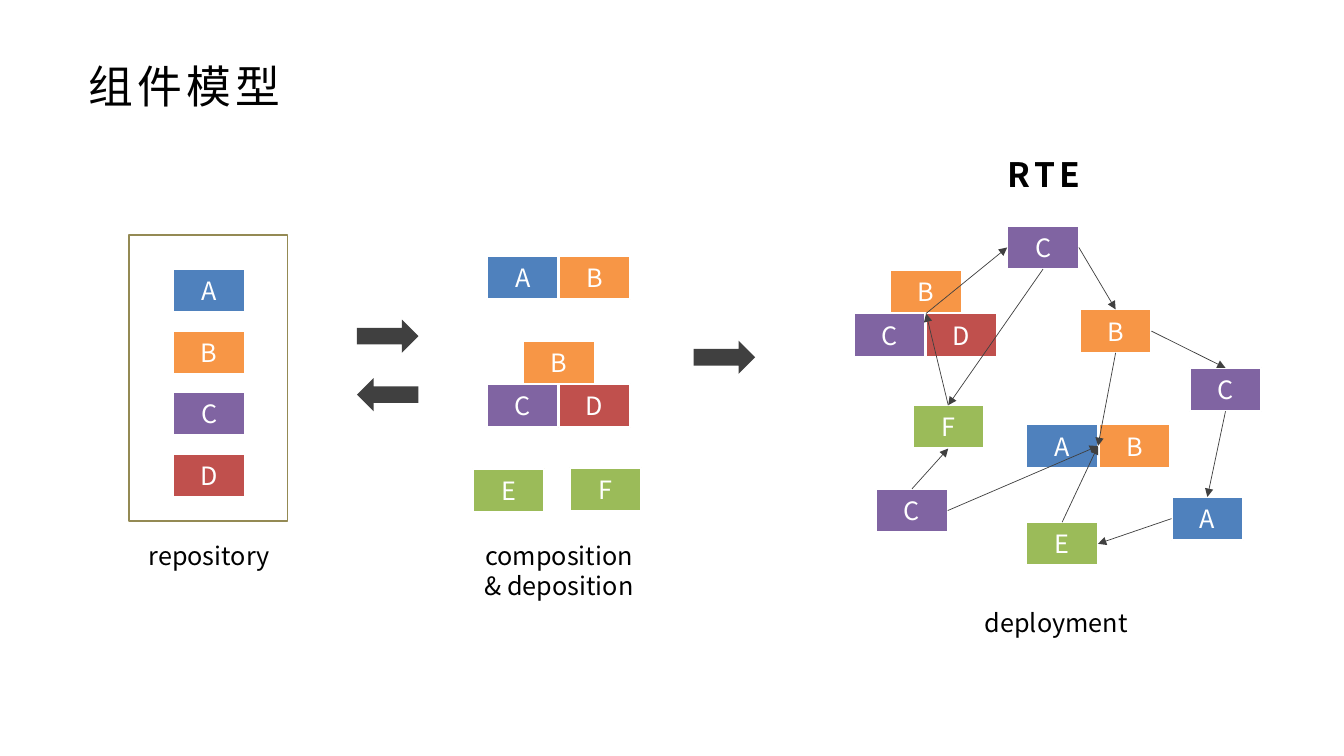
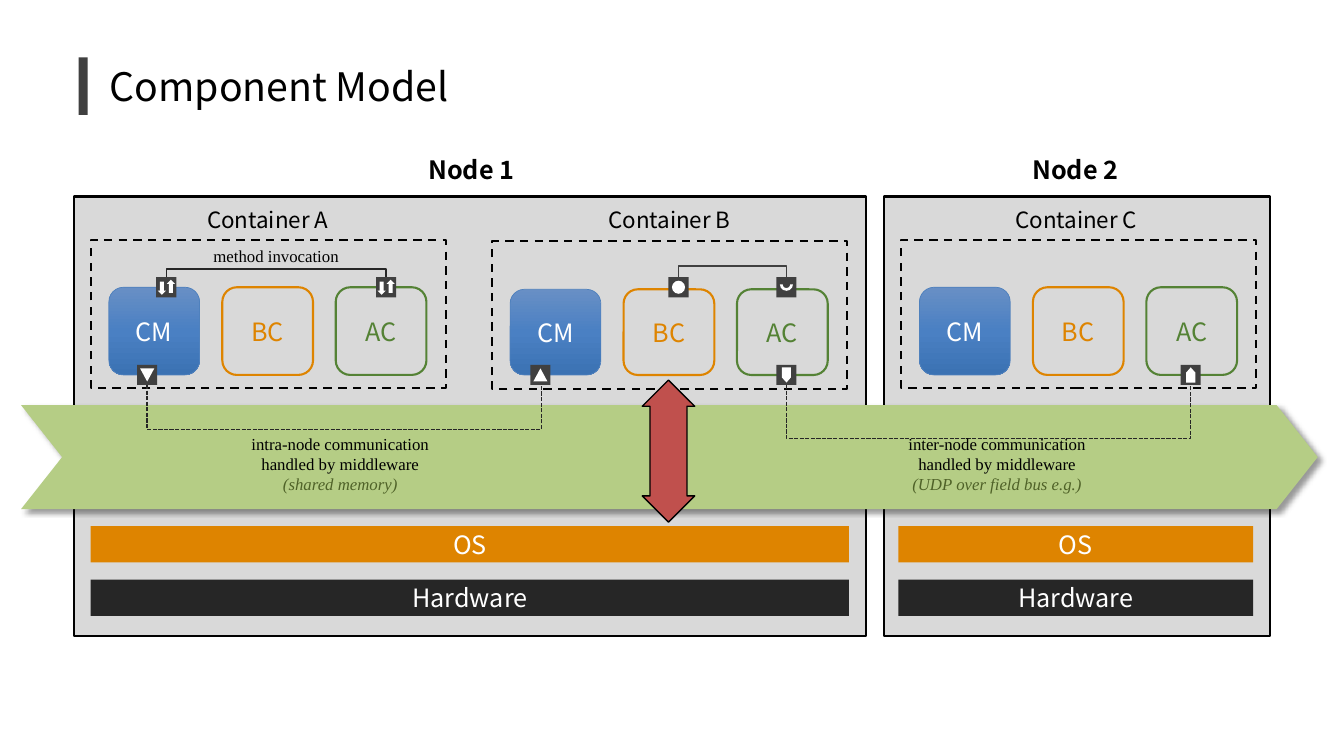
"""Build two slides on a component model: its life cycle and its run-time layout."""
from copy import deepcopy
from dataclasses import dataclass

from lxml import etree
from pptx import Presentation
from pptx.dml.color import RGBColor
from pptx.enum.dml import MSO_LINE
from pptx.enum.shapes import MSO_CONNECTOR, MSO_SHAPE
from pptx.enum.text import MSO_ANCHOR, MSO_AUTO_SIZE, PP_ALIGN
from pptx.oxml.ns import qn
from pptx.util import Inches, Pt

RECT, ROUNDED = MSO_SHAPE.RECTANGLE, MSO_SHAPE.ROUNDED_RECTANGLE
ARROW, TRIANGLE = MSO_SHAPE.RIGHT_ARROW, MSO_SHAPE.ISOSCELES_TRIANGLE
PENTAGON, ARC, OVAL = MSO_SHAPE.PENTAGON, MSO_SHAPE.BLOCK_ARC, MSO_SHAPE.OVAL
CHEVRON, UP_DOWN = MSO_SHAPE.CHEVRON, MSO_SHAPE.UP_DOWN_ARROW
STRAIGHT = MSO_CONNECTOR.STRAIGHT
DASH, SHORT_DASH = MSO_LINE.DASH, MSO_LINE.SQUARE_DOT
LEFT, CENTER = PP_ALIGN.LEFT, PP_ALIGN.CENTER
TOP_ANCHOR, MIDDLE = MSO_ANCHOR.TOP, MSO_ANCHOR.MIDDLE
NO_AUTOFIT = MSO_AUTO_SIZE.NONE
TOP, LEFT_SIDE, BOTTOM, RIGHT_SIDE = range(4)


@dataclass(frozen=True)
class Theme:
    sans: str = "Noto Sans CJK SC"
    serif: str = "Times New Roman"
    black: str = "000000"
    white: str = "FFFFFF"
    dark: str = "404040"
    coal: str = "262626"
    panel: str = "D9D9D9"
    blue: str = "4F81BD"
    orange: str = "F79646"
    purple: str = "8064A2"
    red: str = "C0504D"
    green: str = "9BBB59"
    khaki: str = "948A54"
    amber: str = "DE8400"
    leaf: str = "548235"
    band: str = "B5CD85"
    olive: str = "4F6228"
    gradient: tuple = ("688FC5", "4A80C3", "3B72B3")
    title: int = 32
    title_small: int = 28
    heading: int = 24
    body: int = 18
    label: int = 16
    note: int = 12


theme = Theme()


def write(shape, text, size=theme.body, color=theme.black, font=theme.sans,
          bold=False, spacing=0, align=CENTER, anchor=MIDDLE):
    frame = shape.text_frame
    frame.word_wrap = True
    frame.auto_size = NO_AUTOFIT
    frame.vertical_anchor = anchor
    frame.text = text
    for paragraph in frame.paragraphs:
        paragraph.alignment = align
        for run in paragraph.runs:
            run.font.size = Pt(size)
            run.font.bold = bold
            run.font.name = font
            run.font.color.rgb = RGBColor.from_string(color)
            properties = run.font._element
            properties.set("spc", str(spacing * 100))
            etree.SubElement(properties, qn("a:ea"), typeface=font)


def draw(slide, kind, box, fill=None, line=None, width=1.5, rotation=0, adjustments=()):
    shape = slide.shapes.add_shape(kind, *map(Inches, box))
    shape.shadow.inherit = False
    shape.rotation = rotation
    for index, value in enumerate(adjustments):
        shape.adjustments[index] = value
    if fill:
        shape.fill.solid()
        shape.fill.fore_color.rgb = RGBColor.from_string(fill)
    else:
        shape.fill.background()
    if line:
        shape.line.color.rgb = RGBColor.from_string(line)
        shape.line.width = Pt(width)
    else:
        shape.line.fill.background()
    return shape


deck = Presentation()
deck.slide_width, deck.slide_height = Inches(13.33), Inches(7.5)
slides = []
for text, box, size, spacing in [
    ("组件模型", (0.78, 0.53, 5, 0.64), theme.title, 3),
    ("Component Model", (0.99, 0.57, 5, 0.57), theme.title_small, 0),
]:
    slide = deck.slides.add_slide(deck.slide_layouts[5])
    heading = slide.shapes.title
    heading.left, heading.top, heading.width, heading.height = map(Inches, box)
    write(heading, text, size=size, spacing=spacing, align=LEFT)
    slides.append(slide)
lifecycle, runtime = slides

draw(lifecycle, RECT, (1.28, 2.33, 1.57, 2.84), line=theme.khaki, width=1)
component_colors = {"A": theme.blue, "B": theme.orange, "C": theme.purple,
                    "D": theme.red, "E": theme.green, "F": theme.green}
repository = [(letter, 1.72, 2.67 + 0.61 * row) for row, letter in enumerate("ABCD")]
composition = [
    ("E", 4.69, 4.65), ("B", 5.54, 2.54), ("A", 4.83, 2.54), ("B", 5.19, 3.38),
    ("C", 4.83, 3.81), ("D", 5.54, 3.81), ("F", 5.65, 4.64),
]
deployment = {
    "stacked B": (8.83, 2.68), "C left of D": (8.47, 3.11), "D": (9.18, 3.11),
    "B beside A": (10.9, 4.21), "A beside B": (10.18, 4.21), "C low": (8.69, 4.85),
    "B right": (10.71, 3.07), "E": (10.18, 5.18), "F": (9.05, 4.02),
    "C top": (9.99, 2.24), "A right": (11.62, 4.93), "C right": (11.8, 3.65),
}
deployed = {}
components = [(letter, letter, x, y) for letter, x, y in repository + composition]
components += [(name, name.replace("stacked ", "")[0], x, y)
               for name, (x, y) in deployment.items()]
for name, letter, x, y in components:
    component = draw(lifecycle, RECT, (x, y, 0.71, 0.43),
                     fill=component_colors[letter], line=theme.white)
    write(component, letter, color=theme.white)
    deployed[name] = component

for x, y, rotation in [(3.54, 3.17, 0), (3.54, 3.75, 180), (6.88, 3.38, 0)]:
    draw(lifecycle, ARROW, (x, y, 0.61, 0.33), fill=theme.dark, rotation=rotation)

for source, source_side, target, target_side in [
    ("stacked B", BOTTOM, "C top", LEFT_SIDE),
    ("F", TOP, "stacked B", BOTTOM),
    ("C low", TOP, "F", BOTTOM),
    ("C low", RIGHT_SIDE, "A beside B", RIGHT_SIDE),
    ("C top", RIGHT_SIDE, "B right", TOP),
    ("E", TOP, "A beside B", RIGHT_SIDE),
    ("A right", LEFT_SIDE, "E", RIGHT_SIDE),
    ("C right", BOTTOM, "A right", TOP),
    ("B right", BOTTOM, "A beside B", RIGHT_SIDE),
    ("B right", RIGHT_SIDE, "C right", TOP),
    ("C top", BOTTOM, "F", TOP),
]:
    call = lifecycle.shapes.add_connector(STRAIGHT, 0, 0, 0, 0)
    call.begin_connect(deployed[source], source_side)
    call.end_connect(deployed[target], target_side)
    call.line.color.rgb = RGBColor.from_string(theme.dark)
    call.line.width = Pt(0.5)
    properties = call._element.spPr
    etree.SubElement(properties.find(qn("a:ln")), qn("a:tailEnd"), type="triangle")
    etree.SubElement(properties, qn("a:effectLst"))

draw(runtime, RECT, (0.78, 0.57, 0.09, 0.57), fill=theme.dark)
for x, width in [(8.77, 3.83), (0.73, 7.86)]:
    draw(runtime, RECT, (x, 1.95, width, 4.36), fill=theme.panel, line=theme.black)

for x, y, cell_top in [(0.9, 2.38, 2.85), (4.88, 2.39, 2.87), (8.94, 2.38, 2.85)]:
    container = draw(runtime, RECT, (x, y, 3.52, 1.47), line=theme.black)
    container.line.dash_style = DASH
    for column, (text, color, line, width) in enumerate([
        ("CM", theme.white, theme.blue, 0.5),
        ("BC", theme.amber, theme.amber, 1.5),
        ("AC", theme.leaf, theme.leaf, 1.5),
    ]):
        cell = draw(runtime, ROUNDED,
                    (x + 0.18 + 1.125 * column, cell_top, 0.9, 3.72 - cell_top),
                    line=line, width=width)
        write(cell, text, color=color)
        if text == "CM":
            cell.fill.gradient()
            cell.fill.gradient_angle = 270
            stops = cell._element.spPr.find(qn("a:gradFill")).find(qn("a:gsLst"))
            stops.insert(1, deepcopy(stops[0]))
            for index, stop in enumerate(cell.fill.gradient_stops):
                stop.color.rgb = RGBColor.from_string(theme.gradient[index])
                stop.position = index / 2

middleware = draw(runtime, CHEVRON, (0.21, 4.02, 12.86, 1.03), fill=theme.band,
                  adjustments=[0.395])
shadow = etree.SubElement(middleware._element.spPr.find(qn("a:effectLst")),
                          qn("a:outerShdw"), blurRad=str(Pt(4)), dist=str(Pt(3)),
                          dir="2700000", algn="tl", rotWithShape="0")
shadow_color = etree.SubElement(shadow, qn("a:srgbClr"), val=theme.black)
etree.SubElement(shadow_color, qn("a:alpha"), val="40000")

for x, width in [(0.9, 7.52), (8.91, 3.52)]:
    for text, y, color in [("OS", 5.22, theme.amber), ("Hardware", 5.75, theme.coal)]:
        layer = draw(runtime, RECT, (x, y, width, 0.36), fill=color)
        write(layer, text, color=theme.white)

method_glyphs = [(ARROW, -0.045, 0.01, 0.13, 0.08, 90, ()),
                 (ARROW, 0.045, -0.01, 0.13, 0.08, 270, ())]
for center_x, center_y, glyphs in [
    (6.73, 2.85, [(OVAL, 0, 0, 0.13, 0.13, 0, ())]),
    (7.8, 2.85, [(ARC, 0, -0.03, 0.13, 0.13, 180, (108, 216, 0.211))]),
    (7.8, 3.72, [(PENTAGON, 0, 0, 0.15, 0.09, 90, (0.562,))]),
    (11.81, 3.72, [(PENTAGON, 0, 0, 0.15, 0.09, 270, (0.562,))]),
    (1.46, 3.72, [(TRIANGLE, 0, 0, 0.14, 0.13, 180, ())]),
    (5.36, 3.72, [(TRIANGLE, 0, 0, 0.14, 0.13, 0, ())]),
    (1.65, 2.85, method_glyphs),
    (3.83, 2.85, method_glyphs),
]:
    draw(runtime, RECT, (center_x - 0.1, center_y - 0.1, 0.2, 0.2), fill=theme.dark)
    for kind, dx, dy, width, height, rotation, adjustments in glyphs:
        glyph_box = (center_x + dx - width / 2, center_y + dy - height / 2, width, height)
        draw(runtime, kind, glyph_box, fill=theme.white, rotation=rotation,
             adjustments=adjustments)

for start_x, end_x, port_y, level, color, dash in [
    (6.73, 7.8, 2.76, 2.64, theme.dark, None),
    (7.8, 11.81, 3.82, 4.35, theme.coal, SHORT_DASH),
    (1.46, 5.37, 3.82, 4.26, theme.coal, SHORT_DASH),
    (1.65, 3.83, 2.75, 2.67, theme.coal, None),
]:
    route = runtime.shapes.build_freeform(Inches(start_x), Inches(port_y))
    route.add_line_segments([(Inches(x), Inches(y)) for x, y in [
        (start_x, level), (end_x, level), (end_x, port_y)]], close=False)
    channel = route.convert_to_shape()
    channel.shadow.inherit = False
    channel.fill.background()
    channel.line.color.rgb = RGBColor.from_string(color)
    channel.line.width = Pt(1)
    channel.line.dash_style = dash

draw(runtime, UP_DOWN, (6.37, 3.77, 0.52, 1.41), fill=theme.red, line=theme.black,
     width=1, adjustments=[0.434, 0.706])

stage = dict(size=theme.body)
rte = dict(size=theme.heading, bold=True, spacing=3)
node = dict(size=theme.body, bold=True)
container_label = dict(size=theme.label)
note = dict(size=theme.note, font=theme.serif)
for slide, text, box, style in [
    (lifecycle, "repository", (1.08, 5.31, 1.99, 0.4), stage),
    (lifecycle, "composition\n& deposition", (4.55, 5.31, 1.99, 0.71), stage),
    (lifecycle, "deployment", (9.48, 5.98, 1.99, 0.4), stage),
    (lifecycle, "RTE", (9.36, 1.48, 1.99, 0.5), rte),
    (runtime, "Node 1", (3.93, 1.48, 1.49, 0.4), node),
    (runtime, "Node 2", (9.92, 1.48, 1.49, 0.4), node),
    (runtime, "Container A", (1.91, 2, 1.49, 0.37), container_label),
    (runtime, "Container B", (5.39, 2, 2.5, 0.37), container_label),
    (runtime, "Container C", (9.26, 2, 2.83, 0.37), container_label),
    (runtime, "method invocation", (2.01, 2.39, 1.46, 0.3), note),
]:
    caption = slide.shapes.add_textbox(*map(Inches, box))
    write(caption, text, anchor=TOP_ANCHOR, **style)

for scope, means, box in [
    ("intra-node", "(shared memory)", (1.33, 4.25, 4.09, 0.71)),
    ("inter-node", "(UDP over field bus e.g.)", (7.46, 4.25, 4.86, 0.71)),
]:
    caption = runtime.shapes.add_textbox(*map(Inches, box))
    write(caption, f"{scope} communication\nhandled by middleware\n{means}",
          anchor=TOP_ANCHOR, **note)
    means_font = caption.text_frame.paragraphs[-1].runs[0].font
    means_font.italic = True
    means_font.color.rgb = RGBColor.from_string(theme.olive)

deck.save("out.pptx")
